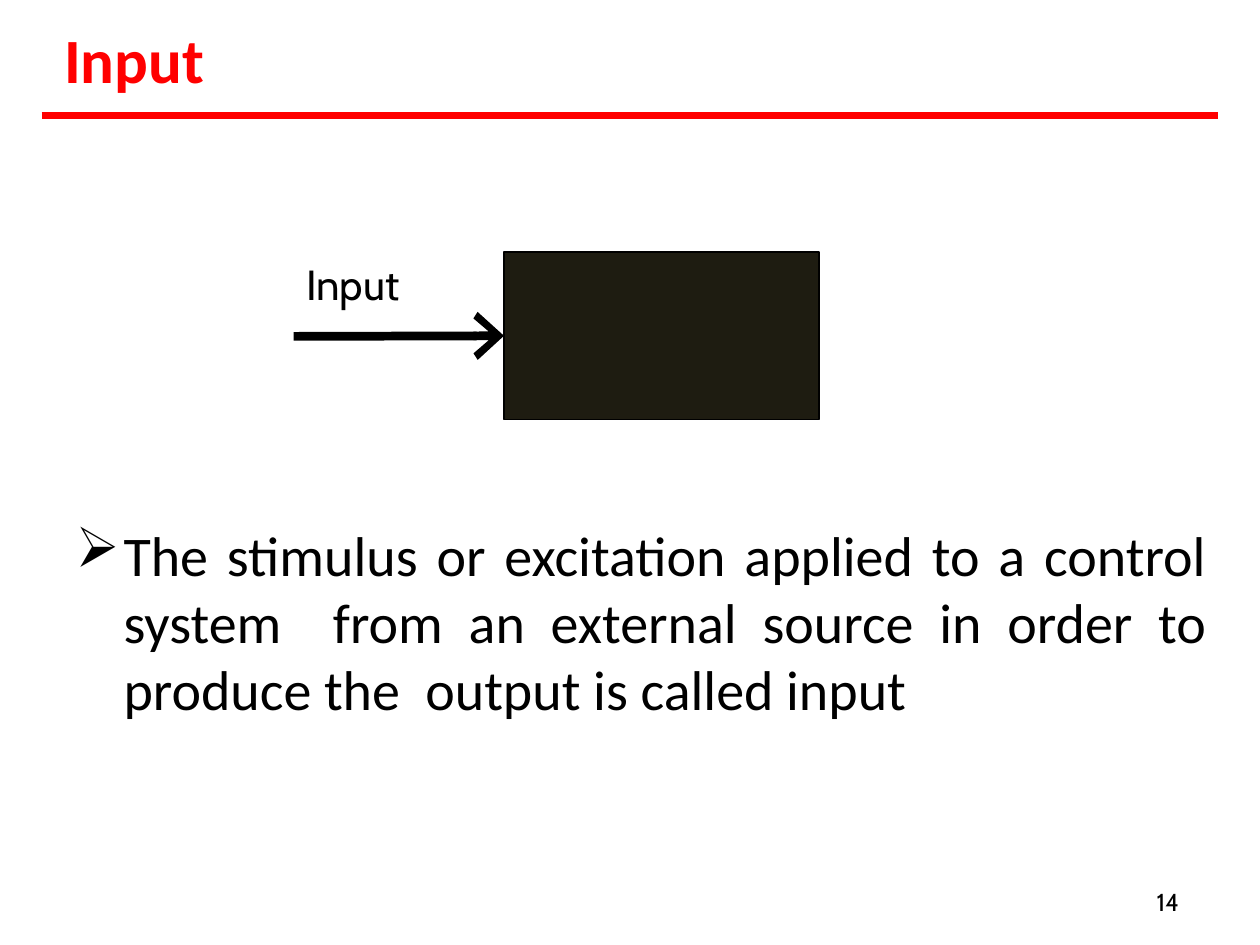
from dataclasses import dataclass

from lxml import etree
from pptx import Presentation
from pptx.dml.color import RGBColor
from pptx.enum import shapes, text
from pptx.oxml import ns
from pptx.util import Inches, Pt


@dataclass(frozen=True)
class Theme:
    accent: RGBColor = RGBColor(0xFF, 0x00, 0x00)
    ink: RGBColor = RGBColor(0x00, 0x00, 0x00)
    block: RGBColor = RGBColor(0x1E, 0x1C, 0x11)
    body_font: str = "Calibri"
    label_font: str = "Cabin"
    title_size: int = 36
    body_size: int = 32
    label_size: int = 24
    number_size: int = 14


@dataclass(frozen=True)
class Label:
    words: str
    left: float
    top: float
    width: float
    height: float
    font: str
    size: int
    color: RGBColor
    bold: bool = False
    wrap: bool = False
    bulleted: bool = False


THEME = Theme()

LABELS = [
    Label("Input", 0.51, 0.15, 1.14, 0.63, THEME.body_font,
          THEME.title_size, THEME.accent, bold=True),
    Label("Input", 2.43, 2.04, 0.82, 0.43, THEME.label_font,
          THEME.label_size, THEME.ink),
    Label("The stimulus or excitation applied to a control system  from an "
          "external source in order to produce the  output is called input",
          0.59, 4.12, 8.99, 1.63, THEME.body_font, THEME.body_size,
          THEME.ink, wrap=True, bulleted=True),
    Label("14", 9.18, 7.03, 0.26, 0.26, THEME.label_font,
          THEME.number_size, THEME.ink),
]


def add_bullet(para) -> None:
    """Give a paragraph an arrow bullet with a hanging indent."""
    properties = para._p.get_or_add_pPr()
    properties.set("marL", str(Inches(0.39)))
    properties.set("indent", str(-Inches(0.38)))
    bullet = etree.SubElement(properties, ns.qn("a:buChar"))
    bullet.set("char", "➢")


def add_label(page, label: Label) -> None:
    box = page.shapes.add_textbox(Inches(label.left), Inches(label.top),
                                  Inches(label.width), Inches(label.height))
    frame = box.text_frame
    frame.margin_left = frame.margin_right = frame.margin_bottom = 0
    frame.margin_top = Inches(0.01)
    frame.word_wrap = label.wrap
    frame.text = label.words
    para = frame.paragraphs[0]
    if label.bulleted:
        add_bullet(para)
        para.alignment = text.PP_ALIGN.JUSTIFY
    for span in para.runs:
        span.font.name = label.font
        span.font.size = Pt(label.size)
        span.font.bold = label.bold
        span.font.color.rgb = label.color


def add_line(page, left: float, right: float, y: float,
             color: RGBColor, weight: float):
    line = page.shapes.add_connector(shapes.MSO_CONNECTOR.STRAIGHT,
                                     Inches(left), Inches(y),
                                     Inches(right), Inches(y))
    line.line.color.rgb = color
    line.line.width = Pt(weight)
    etree.SubElement(line._element.spPr, ns.qn("a:effectLst"))
    return line


def add_block(page, left: float, top: float, width: float, height: float):
    block = page.shapes.add_shape(shapes.MSO_SHAPE.RECTANGLE,
                                  Inches(left), Inches(top),
                                  Inches(width), Inches(height))
    block.shadow.inherit = False
    block.fill.solid()
    block.fill.fore_color.rgb = THEME.block
    block.line.color.rgb = THEME.ink
    block.line.width = Pt(0.72)
    return block


def main() -> None:
    deck = Presentation()
    deck.slide_width, deck.slide_height = Inches(10), Inches(7.5)
    page = deck.slides.add_slide(deck.slide_layouts[6])

    # Rule under the title
    add_line(page, 0.33, 9.67, 0.92, THEME.accent, 3.96)

    # System block with its input arrow
    block = add_block(page, 4, 2, 2.5, 1.33)
    arrow = add_line(page, 2.33, 4, 2.67, THEME.ink, 5)
    arrow.end_connect(block, 1)
    head = etree.SubElement(arrow.line._get_or_add_ln(), ns.qn("a:tailEnd"))
    for name, value in (("type", "arrow"), ("w", "lg"), ("len", "med")):
        head.set(name, value)

    # Title, arrow label, definition and page number
    for label in LABELS:
        add_label(page, label)

    deck.save("out.pptx")


if __name__ == "__main__":
    main()
